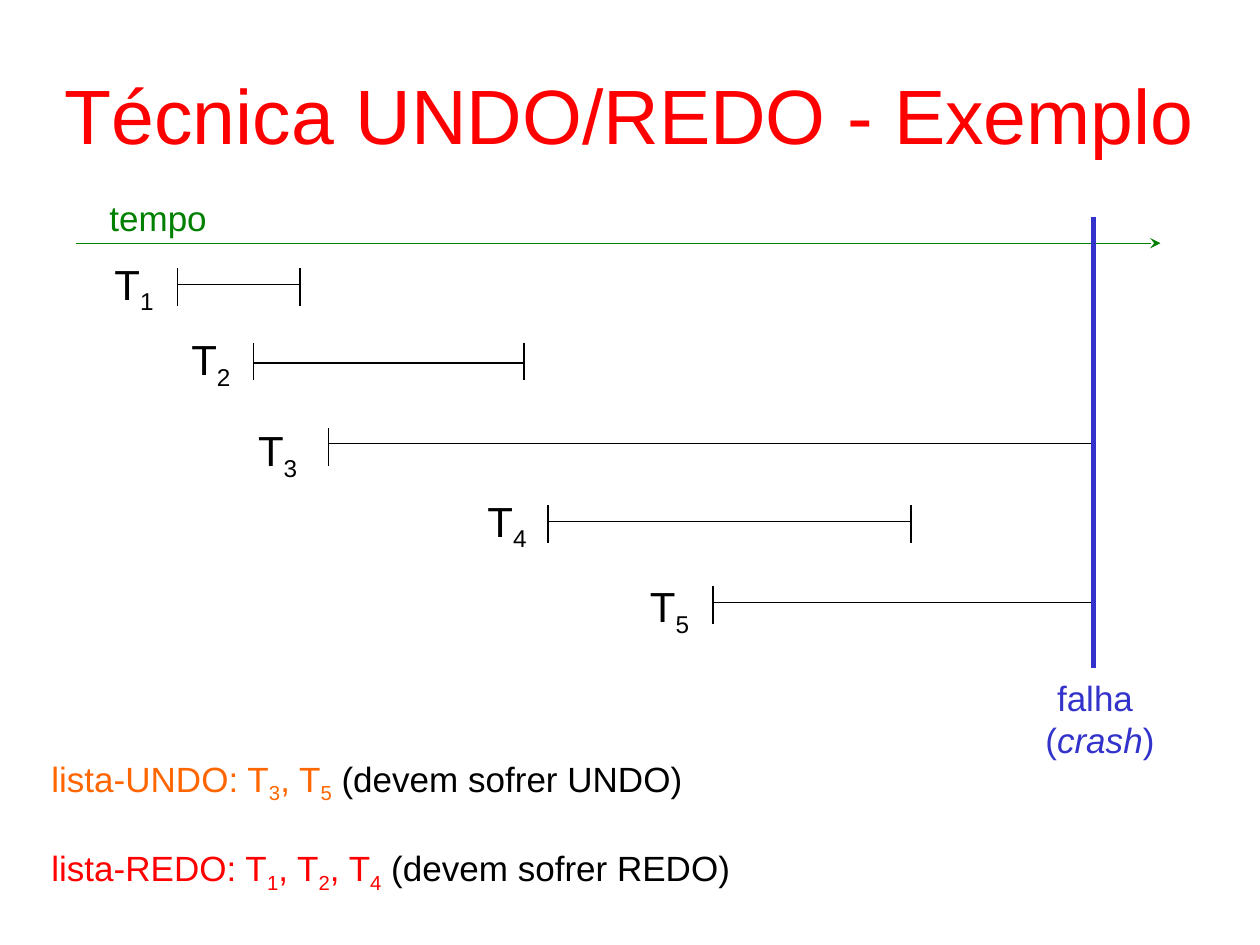
from pptx import Presentation
from pptx.dml.color import RGBColor
from pptx.enum.shapes import MSO_CONNECTOR
from pptx.enum.text import MSO_ANCHOR, PP_ALIGN
from pptx.oxml.ns import qn
from pptx.util import Inches, Pt
from lxml import etree

STRAIGHT = MSO_CONNECTOR.STRAIGHT
MIDDLE = MSO_ANCHOR.MIDDLE
LEFT, CENTER = PP_ALIGN.LEFT, PP_ALIGN.CENTER
HUES = {"ink": "000000", "red": "FF0000", "green": "008000",
        "blue": "3333CC", "orange": "FF6600"}


class Board:
    """Holds the style and the slide being drawn."""

    def __init__(self, slide):
        self.slide = slide
        self.face = "Arial"

    def hue(self, name):
        return RGBColor.from_string(HUES[name])

    def style(self, para, size, hue, align=LEFT):
        para.alignment = align
        para.font.name = self.face
        para.font.size = Pt(size)
        para.font.color.rgb = self.hue(hue)

    def title(self, text, box):
        shape = self.slide.shapes.title
        shape.left, shape.top, shape.width, shape.height = map(Inches, box)
        frame = shape.text_frame
        frame.vertical_anchor = MIDDLE
        frame.text = text
        self.style(frame.paragraphs[0], 44, "red", CENTER)

    def text(self, box, lines, size, hue, align=LEFT, wrap=False, gap=0):
        """Draw lines of (text, kind, hue) runs."""
        frame = self.slide.shapes.add_textbox(*map(Inches, box)).text_frame
        frame.word_wrap = wrap
        for i, runs in enumerate(lines):
            para = frame.add_paragraph() if i else frame.paragraphs[0]
            self.style(para, size, hue, align)
            if i and gap:
                para.space_before = Pt(gap)
            for words, kind, tint in runs:
                run = para.add_run()
                run.text = words
                if tint != hue:
                    run.font.color.rgb = self.hue(tint)
                if kind == "sub":
                    run._r.get_or_add_rPr().set("baseline", "-25000")
                elif kind == "slant":
                    run.font.italic = True

    def line(self, x1, y1, x2, y2, hue="ink", width=0.75, arrow=False):
        link = self.slide.shapes.add_connector(
            STRAIGHT, *map(Inches, (x1, y1, x2, y2)))
        link.line.color.rgb = self.hue(hue)
        link.line.width = Pt(width)
        if arrow:
            etree.SubElement(link.line._get_or_add_ln(), qn("a:tailEnd"),
                             type="stealth")
        etree.SubElement(link._element.spPr, qn("a:effectLst"))

    def span(self, num, left, top, start, end, mid, tick, closed):
        """Draw one transaction: its label, bar and end ticks."""
        runs = [("T", "", "ink"), (str(num), "sub", "ink")]
        self.text((left, top, 0.51, 0.56), [runs], 24, "ink")
        self.line(start, mid, end, mid)
        for x in (start, end) if closed else (start,):
            self.line(x, tick, x, tick + 0.3)


def entry(name, nums, hue):
    """Return the runs of one list line."""
    runs = []
    for i, num in enumerate(nums):
        runs += [(", T" if i else f"lista-{name}: T", "", hue),
                 (num, "sub", hue)]
    return runs + [(f" (devem sofrer {name})", "", "ink")]


def main():
    deck = Presentation()
    deck.slide_width, deck.slide_height = Inches(10), Inches(7.5)
    board = Board(deck.slides.add_slide(deck.slide_layouts[5]))
    board.title("Técnica UNDO/REDO - Exemplo", (0, 0.28, 10, 1.25))

    board.line(0.6, 1.93, 9.21, 1.93, "green", arrow=True)
    board.text((0.77, 1.51, 0.97, 0.44), [[("tempo", "", "green")]],
               20, "green")

    spans = [(0.81, 2, 1.41, 2.38, 2.26, 2.13, True),
             (1.42, 2.6, 2.01, 4.16, 2.88, 2.72, True),
             (1.95, 3.32, 2.61, 8.68, 3.52, 3.4, False),
             (3.77, 3.88, 4.35, 7.23, 4.14, 4.01, True),
             (5.06, 4.56, 5.66, 8.66, 4.78, 4.65, False)]
    for num, span in enumerate(spans, 1):
        board.span(num, *span)

    board.line(8.68, 1.72, 8.68, 5.3, "blue", 3)
    board.text((8.08, 5.32, 1.3, 0.77),
               [[("falha ", "", "blue")],
                [("(", "", "blue"), ("crash", "slant", "blue"),
                 (")", "", "blue")]], 20, "blue", CENTER)

    board.text((0.31, 5.96, 7.1, 1.19),
               [entry("UNDO", "35", "orange"), entry("REDO", "124", "red")],
               20, "ink", wrap=True, gap=24)
    deck.save("out.pptx")


if __name__ == "__main__":
    main()
